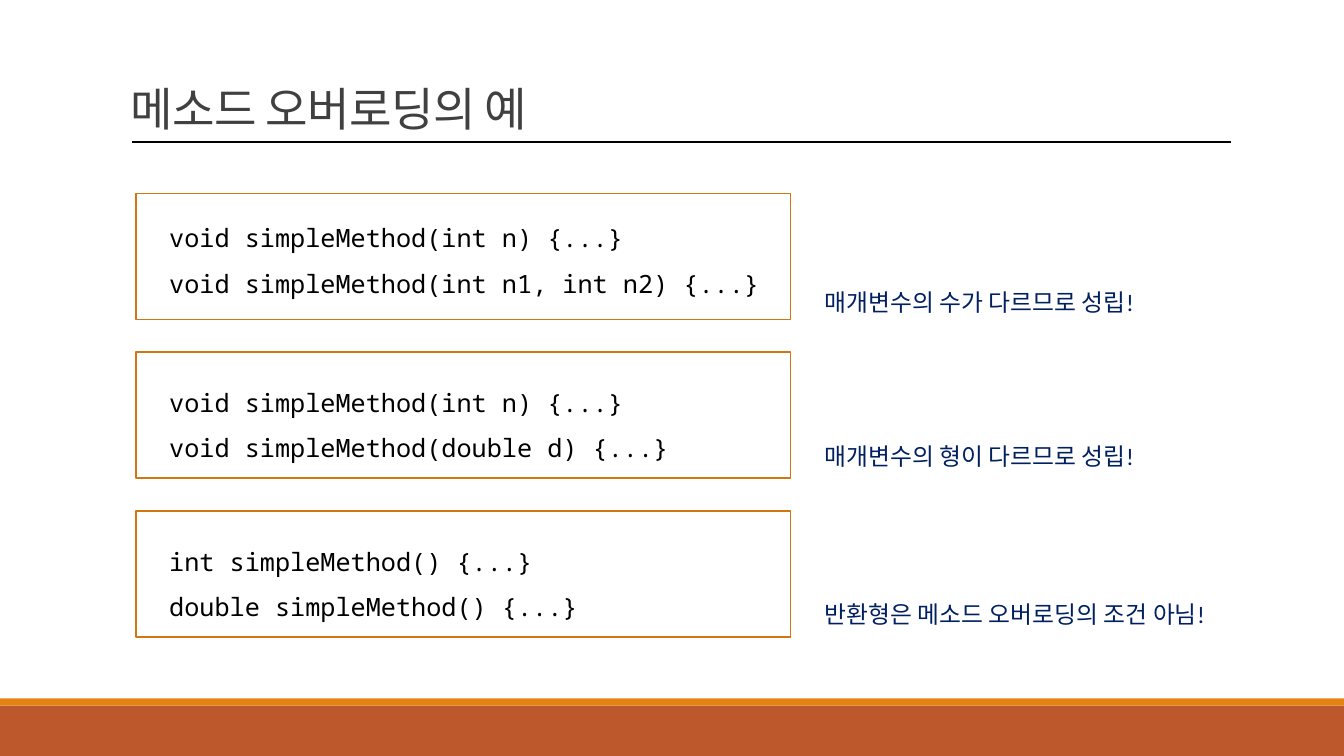
"""Build a slide with three examples of method overloading."""
from lxml import etree
from pptx import Presentation
from pptx.dml.color import RGBColor
from pptx.enum import shapes, text as t
from pptx.oxml import ns
from pptx.util import Inches, Pt

TITLE = "메소드 오버로딩의 예"
EXAMPLES = [
    {"code": ["void simpleMethod(int n) {...}", "void simpleMethod(int n1, int n2) {...}"],
     "note": "매개변수의 수가 다르므로 성립!", "code_top": 2.01, "note_top": 2.66},
    {"code": ["void simpleMethod(int n) {...}", "void simpleMethod(double d) {...}"],
     "note": "매개변수의 형이 다르므로 성립!", "code_top": 3.64, "note_top": 4.19},
    {"code": ["int simpleMethod() {...}", "double simpleMethod() {...}"],
     "note": "반환형은 메소드 오버로딩의 조건 아님!", "code_top": 5.22, "note_top": 5.76},
]
FRAME_TOP, FRAME_STEP = 1.92, 1.575

BLACK = RGBColor(0x00, 0x00, 0x00)
WHITE = RGBColor(0xFF, 0xFF, 0xFF)
GRAY = RGBColor(0x40, 0x40, 0x40)
NAVY = RGBColor(0x00, 0x20, 0x60)
RUST = RGBColor(0xBD, 0x58, 0x2C)
ORANGE = RGBColor(0xE4, 0x83, 0x12)
FRAME_ORANGE = RGBColor(0xD1, 0x76, 0x11)

presentation = Presentation()
presentation.slide_width, presentation.slide_height = Inches(13.33), Inches(7.5)
slide = presentation.slides.add_slide(presentation.slide_layouts[6])


def add_rectangle(left, top, width, height, fill=None, line=None):
    shape = slide.shapes.add_shape(
        shapes.MSO_SHAPE.RECTANGLE, Inches(left), Inches(top), Inches(width), Inches(height))
    shape.shadow.inherit = False
    if fill is None:
        shape.fill.background()
    else:
        shape.fill.solid()
        shape.fill.fore_color.rgb = fill
    if line is None:
        shape.line.fill.background()
    else:
        shape.line.color.rgb = line
        shape.line.width = Pt(1.25)
    return shape


def add_text(lines, left, top, width, height, size, color, font="Calibri", fill=None,
             line_spacing=1.5, anchor=t.MSO_ANCHOR.TOP, grow=True, tracking=None):
    if fill is None:
        shape = slide.shapes.add_textbox(Inches(left), Inches(top), Inches(width), Inches(height))
    else:
        shape = add_rectangle(left, top, width, height, fill=fill)
    frame = shape.text_frame
    frame.word_wrap = True
    frame.vertical_anchor = anchor
    frame.auto_size = t.MSO_AUTO_SIZE.SHAPE_TO_FIT_TEXT if grow else t.MSO_AUTO_SIZE.NONE
    for index, line in enumerate(lines):
        paragraph = frame.add_paragraph() if index else frame.paragraphs[0]
        paragraph.alignment = t.PP_ALIGN.LEFT
        paragraph.line_spacing = line_spacing
        run = paragraph.add_run()
        run.text = line
        run.font.name, run.font.size = font, Pt(size)
        run.font.color.rgb = color
        if tracking is not None:
            run.font._element.set("spc", str(int(tracking * 100)))


add_rectangle(0, 7, 13.33, 0.5, fill=RUST)
add_rectangle(0, 6.93, 13.33, 0.07, fill=ORANGE)
add_text([TITLE], 1.2, 0.14, 11, 1.26, 33, GRAY, line_spacing=0.85,
         anchor=t.MSO_ANCHOR.BOTTOM, grow=False, tracking=-0.5)

rule = slide.shapes.add_connector(
    shapes.MSO_CONNECTOR.STRAIGHT, Inches(1.31), Inches(1.41), Inches(12.21), Inches(1.41))
rule.line.color.rgb = BLACK
rule.line.width = Pt(1)
etree.SubElement(rule._element.spPr, ns.qn("a:effectLst"))

for row, example in enumerate(EXAMPLES):
    add_text(example["code"], 1.58, example["code_top"], 6.67, 0.96, 18, BLACK,
             font="Noto Sans Mono")
    add_rectangle(1.35, FRAME_TOP + row * FRAME_STEP, 6.49, 1.25, line=FRAME_ORANGE)
    add_text([example["note"]], 8.08, example["note_top"], 4.38, 0.53, 17, NAVY, fill=WHITE)

presentation.save("out.pptx")
